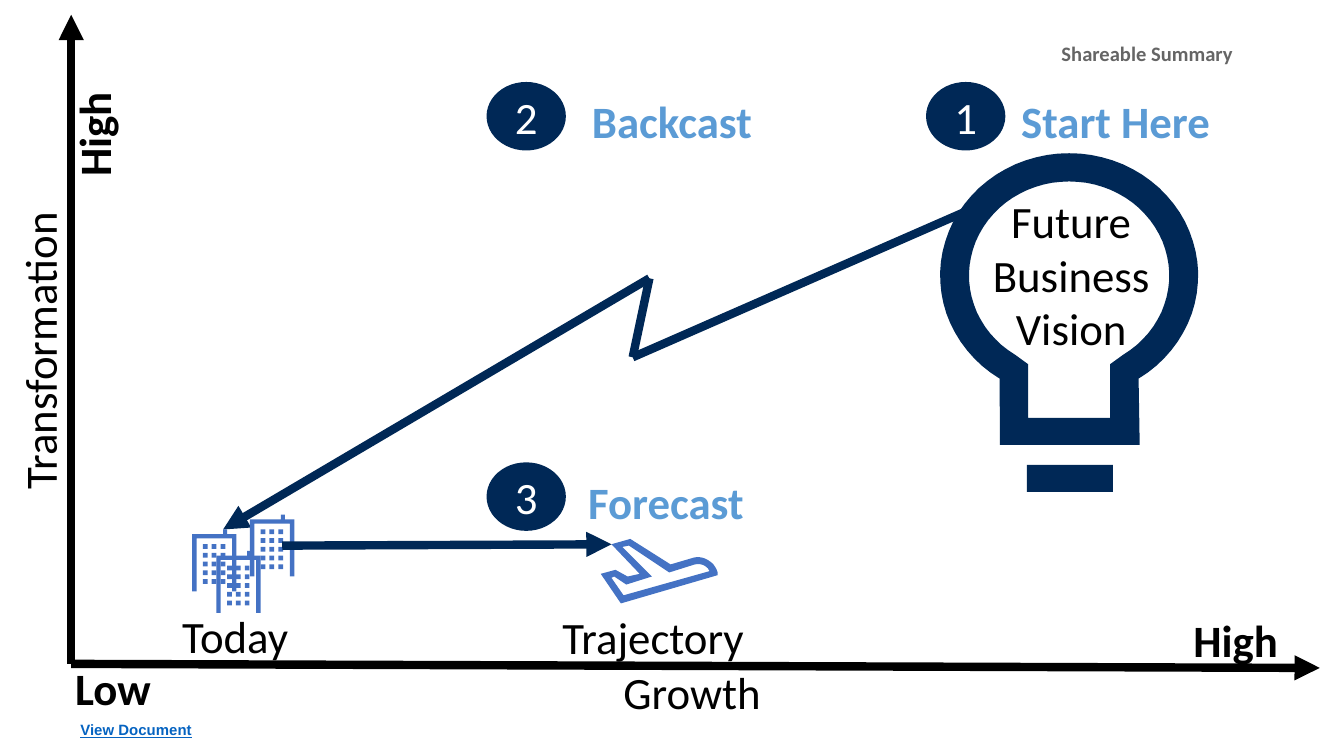
from dataclasses import dataclass
from itertools import product
from math import cos, radians, sin

from lxml.etree import SubElement
from pptx import Presentation
from pptx.dml.color import RGBColor
from pptx.enum.shapes import MSO_CONNECTOR as Connector, MSO_SHAPE as Shape
from pptx.enum.text import MSO_ANCHOR as Anchor, MSO_AUTO_SIZE as AutoSize, PP_ALIGN as Align
from pptx.oxml.ns import qn
from pptx.util import Inches, Pt

COLORS = {
    "navy": "002856", "sky": "5B9BD5", "icon": "4472C4", "black": "000000",
    "white": "FFFFFF", "grey": "656565", "link": "0563C1",
}
CELL = Inches(0.1)
COLUMNS, ROWS = 100, 56.25
LINE_ROWS = 5


@dataclass
class Box:
    col: float
    row: float
    cols: float
    rows: float

    def inner(self, col, row, cols, rows):
        return Box(self.col + col, self.row + row, cols, rows)

    def point(self, across, down):
        return self.col + self.cols * across, self.row + self.rows * down

    def emu(self):
        return [round(n * CELL) for n in (self.col, self.row, self.cols, self.rows)]


def rgb(color):
    return RGBColor.from_string(COLORS[color])


def paint(shape, color):
    shape.shadow.inherit = False
    shape.fill.solid()
    shape.fill.fore_color.rgb = rgb(color)
    shape.line.fill.background()


def write(frame, lines, color, size=24, bold=False, align=Align.CENTER,
          font="Calibri", underline=False, before=0):
    paragraph = frame.paragraphs[0]
    paragraph.alignment = align
    paragraph.space_before = Pt(before)
    for index, line in enumerate(lines):
        if index:
            paragraph.add_line_break()
        run = paragraph.add_run()
        run.text = line
        run.font.name, run.font.size, run.font.bold = font, Pt(size), bold
        run.font.underline = underline
        run.font.color.rgb = rgb(color)


def label(slide, box, lines, color="black", bold=False, align=Align.CENTER, wrap=False, turn=0):
    text = slide.shapes.add_textbox(*box.emu())
    text.rotation = turn
    frame = text.text_frame
    frame.word_wrap = wrap
    frame.auto_size = AutoSize.SHAPE_TO_FIT_TEXT
    frame.margin_left = frame.margin_right = 0
    write(frame, lines, color, bold=bold, align=align, before=4.5)


def note(slide, box, line, **style):
    frame = slide.shapes.add_textbox(*box.emu()).text_frame
    frame.word_wrap = True
    frame.vertical_anchor = Anchor.MIDDLE
    write(frame, [line], bold=True, align=Align.LEFT, **style)


def stroke(slide, start, end, color="navy", arrow=False):
    ends = [round(n * CELL) for n in (*start, *end)]
    connector = slide.shapes.add_connector(Connector.STRAIGHT, *ends)
    connector.line.color.rgb = rgb(color)
    connector.line.width = Pt(4.5)
    properties = connector._element.spPr
    if arrow:
        SubElement(properties.find(qn("a:ln")), qn("a:tailEnd"), type="triangle")
    SubElement(properties, qn("a:effectLst"))


def outline(slide, box, grid, contours, color):
    fine = 10
    left, top, width, height = box.emu()
    scale = (width / grid[0] / fine, height / grid[1] / fine)
    scaled = [[(x * fine, y * fine) for x, y in contour] for contour in contours]
    builder = slide.shapes.build_freeform(*scaled[0][0], scale=scale)
    for index, contour in enumerate(scaled):
        if index:
            builder.move_to(*contour[0])
        builder.add_line_segments(contour[1:], close=True)
    paint(builder.convert_to_shape(left, top), color)


def globe(center, radius, steps=60):
    start, sweep = 57.4, 294.8
    angles = [radians(start - sweep * i / steps) for i in range(steps + 1)]
    return [(center[0] + radius[0] * cos(a), center[1] + radius[1] * sin(a)) for a in angles]


def curve(*controls, steps=10):
    points = []
    for t in (i / steps for i in range(steps + 1)):
        weights = ((1 - t) ** 3, 3 * t * (1 - t) ** 2, 3 * t * t * (1 - t), t ** 3)
        points.append(tuple(sum(w * c[axis] for w, c in zip(weights, controls)) for axis in (0, 1)))
    return points


def rectangle(left, top, right, bottom):
    return [(left, top), (right, top), (right, bottom), (left, bottom)]


def bulb(slide, box):
    center = (95.5, 91)
    glass = globe(center, (96, 91)) + [(44, 217), (148, 217)]
    hollow = globe(center, (74.5, 70)) + [(65, 157), (65, 197), (126, 197), (126, 157)]
    outline(slide, box, (192, 252), [glass, hollow, rectangle(64, 232, 128, 252)], "navy")


def building(slide, box):
    windows = [rectangle(x, y, x + 3.5, y + 3.5)
               for x, y in ((8 + 6.6 * i, 11 + 6.5 * j) for i, j in product(range(3), range(5)))]
    frame = [(23, 0), (23, 3.5), (0, 3.5), (0, 46), (3.3, 46), (3.3, 6.6), (29.7, 6.6),
             (29.7, 46), (33, 46), (33, 3.5), (26, 3.5), (26, 0)]
    outline(slide, box, (33, 46), windows + [frame], "icon")


def plane(slide, box):
    body = curve((87, 25), (85, 17), (76, 12), (69, 14)) + [
        (52, 19), (22, 0), (8, 4), (29, 26), (20, 28), (11, 23), (0, 26), (15, 48), (87, 27)]
    inside = curve((70, 19), (75, 18), (79, 20), (81, 24)) + [
        (17, 42), (8, 29), (10, 28), (19, 34), (38, 28), (16, 6), (21, 5), (51, 25)]
    outline(slide, box, (87, 48), [body, inside], "icon")


def step(slide, box, number, name, gap):
    badge = slide.shapes.add_shape(Shape.OVAL, *box.inner(0, 0, 5.9, 5.1).emu())
    paint(badge, "navy")
    frame = badge.text_frame
    frame.margin_left = frame.margin_right = Inches(0.07)
    frame.margin_top = frame.margin_bottom = Inches(0.04)
    frame.vertical_anchor = Anchor.MIDDLE
    write(frame, [number], "white")
    label(slide, box.inner(gap, 0.4, box.cols - gap, LINE_ROWS), [name], "sky", bold=True)


def vision(slide, box):
    bulb(slide, box)
    label(slide, box.inner(3.8, 2.5, 11.8, 13.1), ["Future", "Business", "Vision"])


def axes(slide, box):
    origin = box.point(0, 1)
    stroke(slide, origin, (box.col + box.cols, origin[1] + 0.3), "black", arrow=True)
    stroke(slide, origin, box.point(0, 0), "black", arrow=True)
    label(slide, box.inner(0, box.rows - 0.4, 92.4, LINE_ROWS), ["Growth"], wrap=True)
    label(slide, box.inner(-26, 22.5, 47.2, LINE_ROWS), ["Transformation"], wrap=True, turn=270)
    ends = [("Low", 0.3, box.rows - 0.7, 5.7, 0), ("High", 83.5, box.rows - 4.3, 6.3, 0),
            ("High", -1.5, 6.4, 6.3, 270)]
    for name, col, row, cols, turn in ends:
        label(slide, box.inner(col, row, cols, LINE_ROWS), [name],
              bold=True, align=Align.LEFT, turn=turn)


def backcast(slide, box):
    stroke(slide, box.point(1, 0), box.point(0.49, 0.52))
    stroke(slide, box.point(0.51, 0.3), box.point(0.49, 0.52))
    stroke(slide, box.point(0.51, 0.3), box.point(0, 1), arrow=True)


def forecast(slide, box):
    for col, row in ((0.8, 1.1), (2.6, 2.7), (5.1, 0)):
        building(slide, box.inner(col, row, 3.3, 4.6))
    label(slide, box.inner(0, 6.5, 8, LINE_ROWS), ["Today"])
    plane(slide, box.inner(31.2, 1.8, 8.7, 4.8))
    label(slide, box.inner(28.3, 6.6, 13.6, LINE_ROWS), ["Trajectory"])
    flight = box.inner(7.5, 2.3, 24.5, -0.1)
    stroke(slide, flight.point(0, 0), flight.point(1, 1), arrow=True)


deck = Presentation()
deck.slide_width, deck.slide_height = round(COLUMNS * CELL), round(ROWS * CELL)
roadmap = deck.slides.add_slide(deck.slide_layouts[6])
vision(roadmap, Box(70, 11.4, 19.2, 25.2))
axes(roadmap, Box(5.3, 1.1, 92.9, 48.3))
backcast(roadmap, Box(16.6, 12.7, 62.2, 26.7))
forecast(roadmap, Box(13.5, 38.3, 41.9, 11.6))
step(roadmap, Box(68.9, 6.1, 21.2, 5.4), "1", "Start Here", 7)
step(roadmap, Box(36.2, 6.1, 19.8, 5.4), "2", "Backcast", 7.8)
step(roadmap, Box(36.2, 34.4, 19.2, 5.4), "3", "Forecast", 7.5)
note(roadmap, Box(78, 4, 30, 0), "Shareable Summary", color="grey", size=11)
note(roadmap, Box(5, 52.9, 30, 2.8), "View Document", color="link", size=8,
     font="Arial", underline=True)
deck.save("out.pptx")
